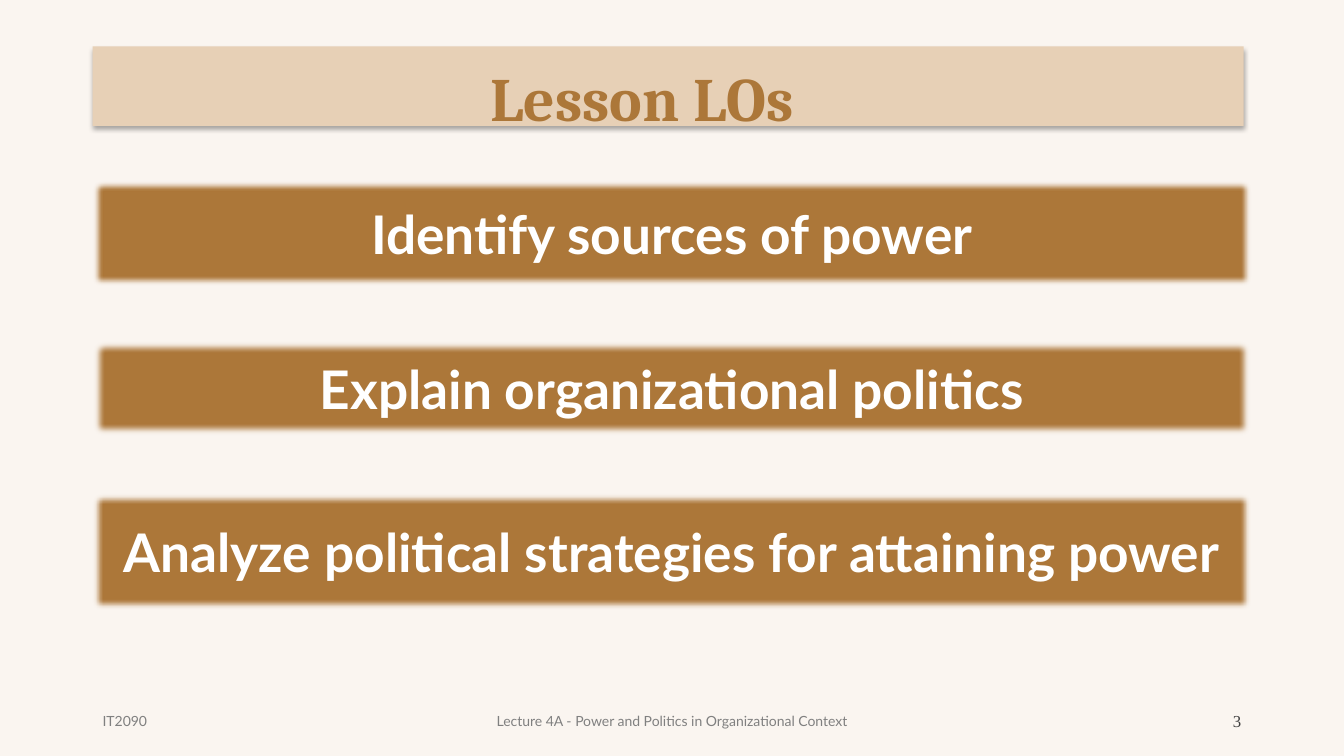
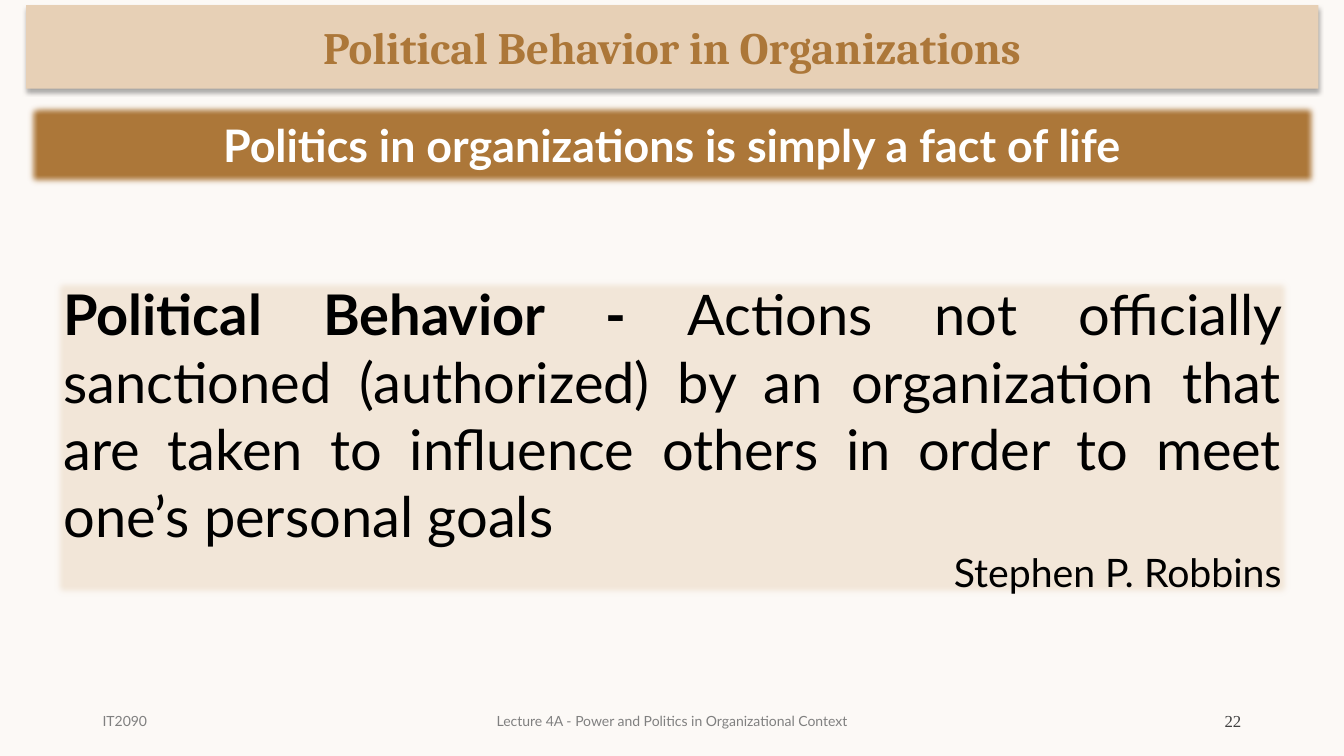
from lxml.etree import SubElement
from pptx import Presentation
from pptx.dml.color import RGBColor
from pptx.enum.shapes import MSO_SHAPE as Preset
from pptx.enum.text import MSO_ANCHOR as Anchor, MSO_AUTO_SIZE as AutoSize, PP_ALIGN as Align
from pptx.oxml.ns import qn
from pptx.util import Pt

# Content
OBJECTIVES_TITLE = "Lesson LOs"
OBJECTIVES = [  # wording, top, height
    ("Identify sources of power", 128.9, 75.6),
    ("Explain organizational politics", 243.4, 67.7),
    ("Analyze political strategies for attaining power", 352.1, 83.5),
]
BEHAVIOR_TITLE = "Political Behavior in Organizations"
BEHAVIOR_CLAIM = "Politics in organizations is simply a fact of life"
TERM = "Political Behavior - "
DEFINITION = ("Actions not officially sanctioned (authorized) by an organization that "
              "are taken to influence others in order to meet one’s personal goals")
AUTHOR = "Stephen P. Robbins"
COURSE = "IT2090"
LECTURE = "Lecture 4A - Power and Politics in Organizational Context"

# Shared style
BRONZE = RGBColor(0xAC, 0x77, 0x39)
SAND = RGBColor(0xE7, 0xD0, 0xB6)
PALE_SAND = RGBColor(0xF2, 0xE6, 0xD8)
CREAM = RGBColor(0xFA, 0xF5, 0xF0)
LIGHT_CREAM = RGBColor(0xFC, 0xF9, 0xF6)
EDGE = RGBColor(0xB3, 0xAA, 0xA0)
WHITE = RGBColor(0xFF, 0xFF, 0xFF)
BLACK = RGBColor(0, 0, 0)
GRAY = RGBColor(0x80, 0x80, 0x80)
DARK_GRAY = RGBColor(0x3F, 0x3F, 0x3F)
HEADING_FONT, BODY_FONT, NUMBER_FONT = "Cambria", "Lato", "Times New Roman"
WIDTH, HEIGHT = 960, 540
MARGIN = 66.2
FOOTER_TOP, FOOTER_HEIGHT = 500.5, 28.8
SIDE_FOOTER, MIDDLE_FOOTER = 216, 324


def style(paragraph, font_name, size, color, align, bold=None):
    paragraph.alignment = align
    font = paragraph.font
    font.name, font.size, font.bold = font_name, Pt(size), bold
    font.color.rgb = color


def prepare(frame):
    frame.word_wrap = True
    frame.auto_size = AutoSize.NONE
    frame.vertical_anchor = Anchor.MIDDLE
    return frame


def add_effect(shape, tag, **attributes):
    shape.shadow.inherit = False
    effects = shape._element.spPr.find(qn("a:effectLst"))
    return SubElement(effects, qn(tag), attributes)


def make_band(shape):
    """Sand fill with a soft shadow below."""
    shape.fill.solid()
    shape.fill.fore_color.rgb = SAND
    shape.line.fill.background()
    shadow = add_effect(shape, "a:outerShdw", blurRad=str(Pt(3.5)), dist=str(Pt(2.2)),
                        dir="5400000", algn="t", rotWithShape="0")
    black = SubElement(shadow, qn("a:srgbClr"), val="000000")
    SubElement(black, qn("a:alpha"), val="32000")


def add_rectangle(slide, left, top, width, height):
    return slide.shapes.add_shape(Preset.RECTANGLE, Pt(left), Pt(top), Pt(width), Pt(height))


def add_panel(slide, left, top, width, height, color):
    """Soft-edged box; returns its text frame."""
    panel = add_rectangle(slide, left, top, width, height)
    panel.fill.solid()
    panel.fill.fore_color.rgb = color
    panel.line.color.rgb, panel.line.width = EDGE, Pt(1)
    add_effect(panel, "a:softEdge", rad=str(Pt(5)))
    return prepare(panel.text_frame)


def add_bar(slide, text, left, top, width, height, size):
    frame = add_panel(slide, left, top, width, height, BRONZE)
    frame.text = text
    style(frame.paragraphs[0], BODY_FONT, size, WHITE, Align.CENTER, True)


def set_title(slide, text, left, top, width, height, size):
    title = slide.shapes.title
    title.left, title.top, title.width, title.height = Pt(left), Pt(top), Pt(width), Pt(height)
    prepare(title.text_frame).text = text
    heading = title.text_frame.paragraphs[0]
    style(heading, HEADING_FONT, size, BRONZE, Align.CENTER, True)
    return title, heading


def add_slide(deck, background, number):
    slide = deck.slides.add_slide(deck.slide_layouts[5])
    slide.background.fill.solid()
    slide.background.fill.fore_color.rgb = background
    footers = [
        (COURSE, MARGIN, SIDE_FOOTER, BODY_FONT, 10, GRAY, Align.LEFT),
        (LECTURE, (WIDTH - MIDDLE_FOOTER) / 2, MIDDLE_FOOTER, BODY_FONT, 10, GRAY, Align.CENTER),
        (number, WIDTH - MARGIN - SIDE_FOOTER, SIDE_FOOTER, NUMBER_FONT, 12, DARK_GRAY, Align.RIGHT),
    ]
    for text, left, width, font_name, size, color, align in footers:
        footer = slide.shapes.add_textbox(Pt(left), Pt(FOOTER_TOP), Pt(width), Pt(FOOTER_HEIGHT))
        frame = prepare(footer.text_frame)
        frame.text = text
        style(frame.paragraphs[0], font_name, size, color, align)
    return slide


def build_objectives(deck):
    slide = add_slide(deck, CREAM, "3")
    make_band(add_rectangle(slide, MARGIN, 33.1, 822.2, 56.9))
    title, heading = set_title(slide, OBJECTIVES_TITLE, 167.8, 47.5, 581.8, 50.4, 44)
    heading.line_spacing = 0.9
    slide.shapes._spTree.append(title._element)  # title in front of its band
    for text, top, height in OBJECTIVES:
        add_bar(slide, text, MARGIN, top, WIDTH - 2 * MARGIN, height, 38)


def build_behavior(deck):
    slide = add_slide(deck, LIGHT_CREAM, "22")
    left, width, height = 18.7, 923, 59.8
    title, _ = set_title(slide, BEHAVIOR_TITLE, left, 3.6, width, height, 32)
    make_band(title)
    add_bar(slide, BEHAVIOR_CLAIM, left, 73.4, width, height, 32)

    # Definition and its author
    frame = add_panel(slide, 38.2, 198.7, 884.2, 228.2, PALE_SAND)
    definition = frame.paragraphs[0]
    style(definition, BODY_FONT, 40, BLACK, Align.JUSTIFY)
    term = definition.add_run()
    term.text, term.font.bold = TERM, True
    definition.add_run().text = DEFINITION
    author = frame.add_paragraph()
    author.text = AUTHOR
    style(author, BODY_FONT, 28, BLACK, Align.RIGHT)


def main():
    deck = Presentation()
    deck.slide_width, deck.slide_height = Pt(WIDTH), Pt(HEIGHT)
    build_objectives(deck)
    build_behavior(deck)
    deck.save("out.pptx")


if __name__ == "__main__":
    main()
